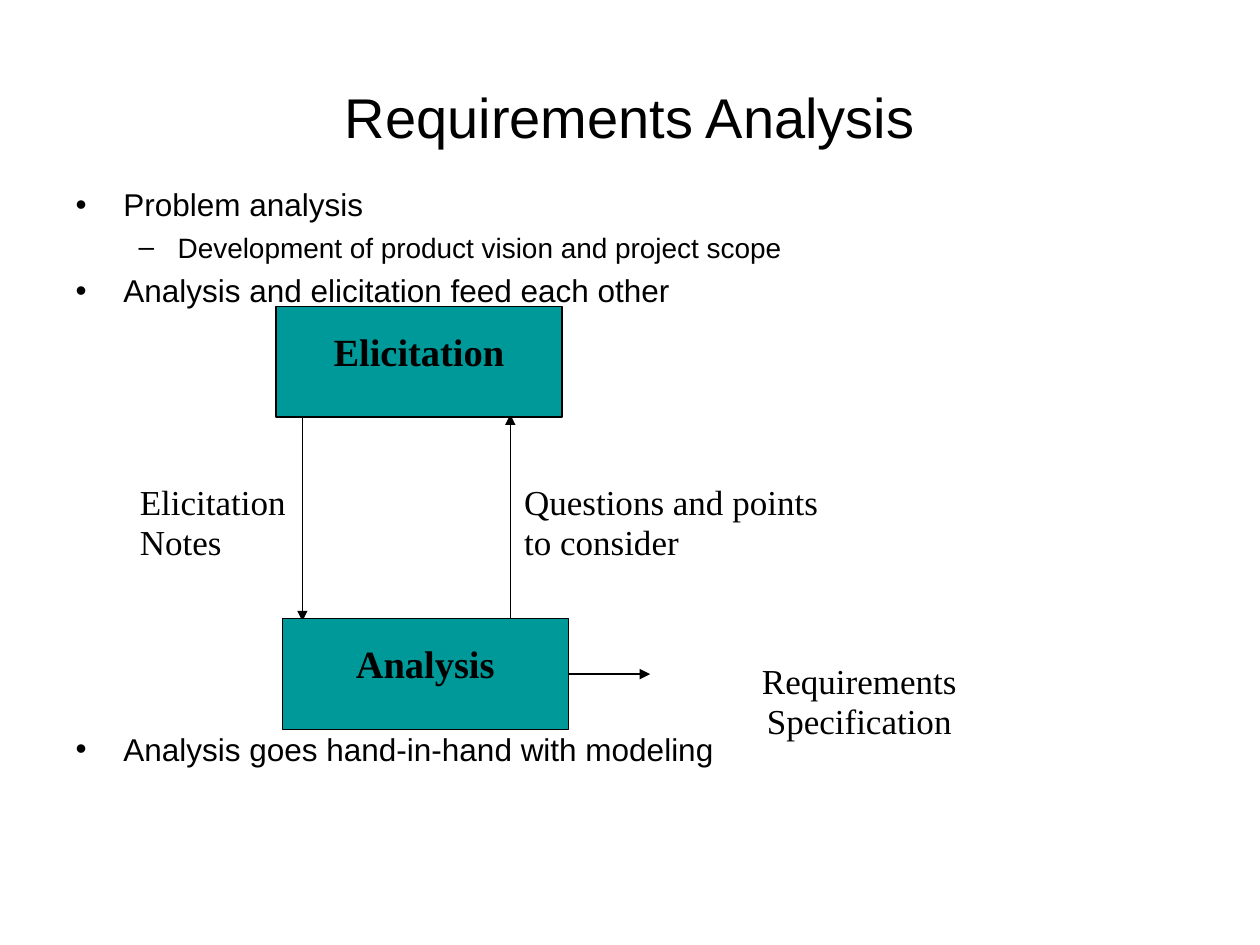
from lxml.etree import SubElement
from pptx import Presentation
from pptx.dml.color import RGBColor
from pptx.enum.shapes import MSO_CONNECTOR, MSO_SHAPE
from pptx.enum.text import MSO_ANCHOR, MSO_AUTO_SIZE, PP_ALIGN
from pptx.oxml.ns import qn
from pptx.util import Inches, Pt

COLOURS = {"ink": "000000", "box": "009999"}
SANS, SERIF = "Arial", "Times New Roman"
BOX_WIDTH, BOX_HEIGHT = 2.27, 0.88

# Bullet level: character, text indent, hanging indent (inches), text size
LEVELS = [("•", 0.38, 0.38, 18), ("–", 0.81, 0.31, 16)]

# Body list: text, level, space before (the last gap leaves room for the diagram)
BULLETS = [
    ("Problem analysis", 0, 0),
    ("Development of product vision and project scope", 1, 4),
    ("Analysis and elicitation feed each other", 0, 4.5),
    ("Analysis goes hand-in-hand with modeling", 0, 240.5),
]

# Diagram labels: lines, left, top, width, height, alignment
LABELS = [
    (["Elicitation", "Notes"], 1.11, 3.83, 1.31, 0.65, PP_ALIGN.LEFT),
    (["Questions and points", "to consider"], 4.16, 3.83, 2.34, 0.65, PP_ALIGN.LEFT),
    (["Requirements Specification"], 5.28, 5.25, 3.08, 0.32, PP_ALIGN.CENTER),
]


def colour(name):
    return RGBColor.from_string(COLOURS[name])


def place(shape, left, top, width, height):
    shape.left, shape.top = Inches(left), Inches(top)
    shape.width, shape.height = Inches(width), Inches(height)


def add_span(para, text, font, size, bold=False):
    span = para.add_run()
    span.text = text
    span.font.name, span.font.size, span.font.bold = font, Pt(size), bold
    span.font.color.rgb = colour("ink")


def clear_margins(frame):
    frame.margin_left = frame.margin_right = 0
    frame.margin_top = frame.margin_bottom = 0


def fill_title(title):
    place(title, 0.5, 0.3, 9, 1.25)
    title.text_frame.vertical_anchor = MSO_ANCHOR.MIDDLE
    para = title.text_frame.paragraphs[0]
    para.alignment = PP_ALIGN.CENTER
    add_span(para, "Requirements Analysis", SANS, 32)


def set_bullet(para, mark, indent, hanging):
    properties = para._p.get_or_add_pPr()
    properties.set("marL", str(Inches(indent)))
    properties.set("indent", str(-Inches(hanging)))
    bullet_colour = SubElement(properties, qn("a:buClr"))
    SubElement(bullet_colour, qn("a:srgbClr"), val=COLOURS["ink"])
    SubElement(properties, qn("a:buFont"), typeface=SANS)
    SubElement(properties, qn("a:buChar"), char=mark)


def fill_body(body):
    place(body, 0.5, 1.42, 9, 4.95)
    frame = body.text_frame
    frame.auto_size = MSO_AUTO_SIZE.NONE
    frame.vertical_anchor = MSO_ANCHOR.TOP
    for index, (text, level, gap) in enumerate(BULLETS):
        para = frame.add_paragraph() if index else frame.paragraphs[0]
        mark, indent, hanging, size = LEVELS[level]
        para.level = level
        set_bullet(para, mark, indent, hanging)
        para.space_before = Pt(gap)
        add_span(para, text, SANS, size)


def add_box(page, text, left, top):
    box = page.shapes.add_shape(
        MSO_SHAPE.ROUNDED_RECTANGLE,
        Inches(left), Inches(top), Inches(BOX_WIDTH), Inches(BOX_HEIGHT))
    box.adjustments[0] = 0
    box.shadow.inherit = False
    box.fill.solid()
    box.fill.fore_color.rgb = colour("box")
    box.line.color.rgb = colour("ink")
    box.line.width = Pt(0.75)
    # The bottom margin lifts the name a little above the middle
    frame = box.text_frame
    clear_margins(frame)
    frame.margin_bottom = Inches(0.17)
    frame.vertical_anchor = MSO_ANCHOR.MIDDLE
    para = frame.paragraphs[0]
    para.alignment = PP_ALIGN.CENTER
    add_span(para, text, SERIF, 22, bold=True)
    return box


def add_arrow(page, start, end):
    arrow = page.shapes.add_connector(
        MSO_CONNECTOR.STRAIGHT, *(Inches(value) for value in (*start, *end)))
    arrow.line.color.rgb = colour("ink")
    arrow.line.width = Pt(0.75)
    SubElement(arrow.line._get_or_add_ln(), qn("a:tailEnd"), type="triangle")
    SubElement(arrow._element.spPr, qn("a:effectLst"))
    return arrow


def add_label(page, lines, left, top, width, height, alignment):
    label = page.shapes.add_textbox(
        Inches(left), Inches(top), Inches(width), Inches(height))
    frame = label.text_frame
    clear_margins(frame)
    frame.word_wrap = False
    for index, line in enumerate(lines):
        para = frame.add_paragraph() if index else frame.paragraphs[0]
        para.alignment = alignment
        para.line_spacing = 0.97
        add_span(para, line, SERIF, 20)


def main():
    deck = Presentation()
    deck.slide_width, deck.slide_height = Inches(10), Inches(7.5)
    page = deck.slides.add_slide(deck.slide_layouts[1])

    # Title and list
    fill_title(page.shapes.title)
    fill_body(page.placeholders[1])

    # Vertical arrows, whose ends lie behind the boxes
    add_arrow(page, (2.4, 3.31), (2.4, 4.93))
    add_arrow(page, (4.05, 4.96), (4.05, 3.29))

    # Boxes and the arrow out of the lower one
    add_box(page, "Elicitation", 2.19, 2.43)
    analysis = add_box(page, "Analysis", 2.24, 4.91)
    middle = 4.91 + BOX_HEIGHT / 2
    output = add_arrow(page, (2.24 + BOX_WIDTH, middle), (5.16, middle))
    output.begin_connect(analysis, 3)

    # Labels
    for label in LABELS:
        add_label(page, *label)

    deck.save("out.pptx")


if __name__ == "__main__":
    main()
